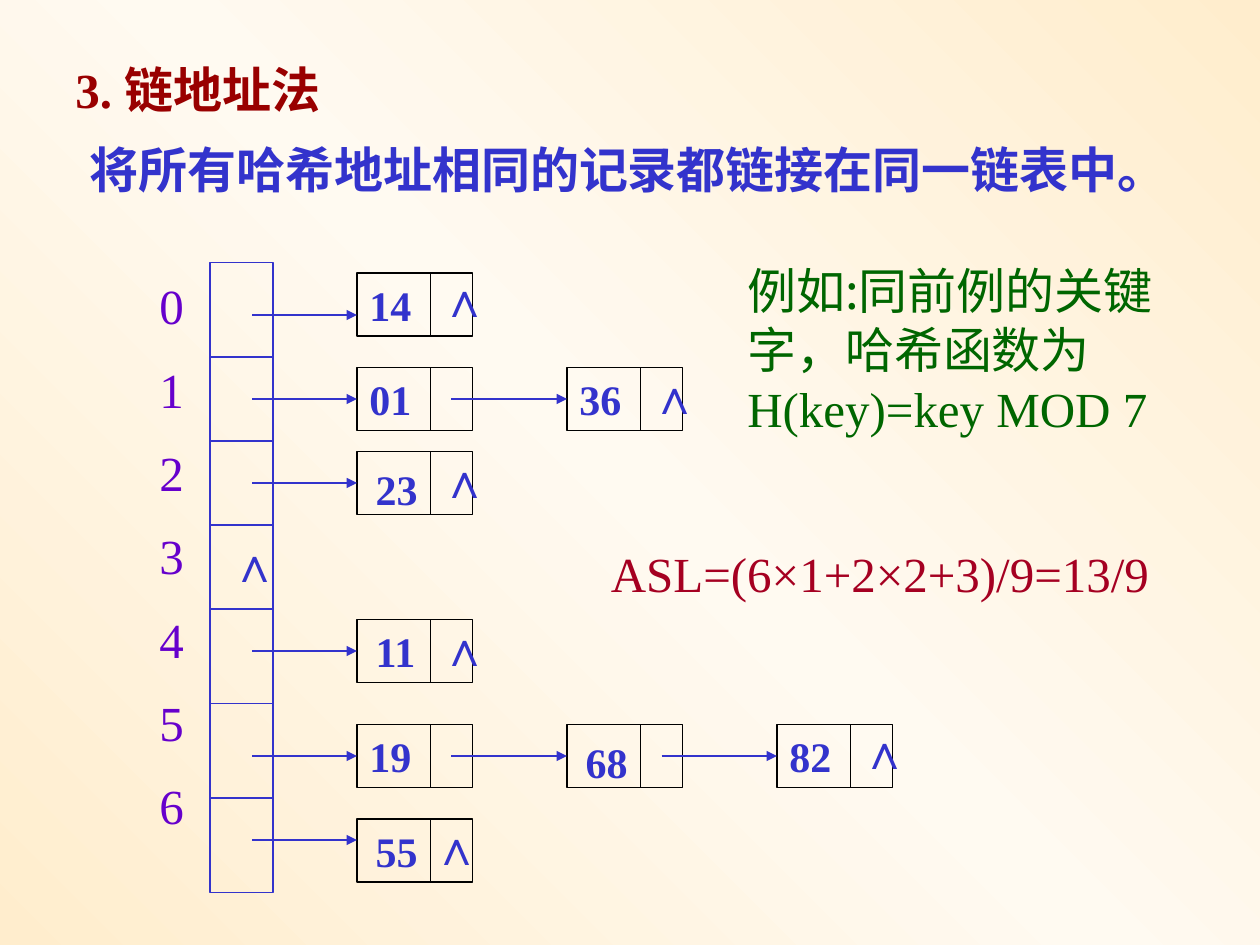
from copy import deepcopy

from lxml import etree
from pptx import Presentation
from pptx.dml.color import RGBColor
from pptx.enum.shapes import MSO_CONNECTOR, MSO_SHAPE
from pptx.enum.text import MSO_ANCHOR, MSO_AUTO_SIZE, PP_ALIGN
from pptx.oxml.ns import qn
from pptx.util import Pt

RECT = MSO_SHAPE.RECTANGLE
STRAIGHT = MSO_CONNECTOR.STRAIGHT
FIT = MSO_AUTO_SIZE.SHAPE_TO_FIT_TEXT
LEFT = PP_ALIGN.LEFT
MIDDLE = MSO_ANCHOR.MIDDLE

rgb = RGBColor.from_string
BLUE, BLACK = "3333CC", "000000"
TIMES, NOTO = "Times New Roman", "Noto Sans CJK SC"

prs = Presentation()
prs.slide_width, prs.slide_height = Pt(720), Pt(540)
slide = prs.slides.add_slide(prs.slide_layouts[6])
shapes = slide.shapes

# Background: pale diagonal band between two cream corners
background = slide.background.fill
background.gradient()
background.gradient_angle = 45
stop_list = next(slide._element.iter(qn("a:gsLst")))
stop_list.insert(1, deepcopy(stop_list[0]))
for stop, (position, color) in zip(
    background.gradient_stops, [(0, "FFEDCD"), (0.5, "FFFAF1"), (1, "FFEDCD")]
):
    stop.position = position
    stop.color.rgb = rgb(color)


def add_text(x, y, w, h, paragraphs, size, color, bold=False, wrap=False):
    """Text box; each paragraph is a list of (text, font) runs."""
    frame = shapes.add_textbox(Pt(x), Pt(y), Pt(w), Pt(h)).text_frame
    frame.word_wrap = wrap
    frame.auto_size = FIT
    for i, runs in enumerate(paragraphs):
        paragraph = frame.paragraphs[0] if i == 0 else frame.add_paragraph()
        for text, font in runs:
            run = paragraph.add_run()
            run.text = text
            run.font.name, run.font.size, run.font.bold = font, Pt(size), bold
            run.font.color.rgb = rgb(color)
    return frame


def add_line(x1, y1, x2, y2, color, width=0.75, arrow=False):
    line = shapes.add_connector(STRAIGHT, Pt(x1), Pt(y1), Pt(x2), Pt(y2))
    line.line.color.rgb = rgb(color)
    line.line.width = Pt(width)
    if arrow:
        etree.SubElement(line.line._get_or_add_ln(), qn("a:tailEnd"), type="triangle")
    etree.SubElement(line._element.spPr, qn("a:effectLst"))


# Heading and definition
definition = add_text(44.2, 69.4, 633, 47.5, [[("将所有哈希地址相同的记录都链接在同一链表中。", TIMES)]],
                      28, BLUE, bold=True, wrap=True)
definition.paragraphs[0].line_spacing = 1.2
add_text(36, 30.4, 222, 41, [[("3. 链地址法", TIMES)]], 28, "990000", bold=True, wrap=True)

# Hash table column with its slots
TABLE_X, TABLE_W = 120, 36
table = shapes.add_shape(RECT, Pt(TABLE_X), Pt(150), Pt(TABLE_W), Pt(360))
table.shadow.inherit = False
table.fill.background()
table.line.color.rgb = rgb(BLUE)
table.line.width = Pt(0.75)
for slot_y in (204, 252, 300, 348, 402, 456):
    add_line(TABLE_X, slot_y, TABLE_X + TABLE_W, slot_y, BLUE)

# Slot numbers
indexes = add_text(84, 154, 42, 344, [[(str(i), TIMES)] for i in range(7)],
                   28, "6600CC", wrap=True)
for paragraph in indexes.paragraphs:
    paragraph.space_after = Pt(14)

# Chains: node top, arrow height, keys, offset of the end mark
NODE_X, NODE_STEP, NODE_W, NODE_H = 204, 120, 66, 36
KEY_W, POINTER_X = 42, 54
chains = [
    (156, 180, ["14"], (40.6, -6)),
    (210, 228, ["01", "36"], (40.6, -4.6)),
    (258, 276, ["23"], (40.6, -4.6)),
    (354, 372, ["11"], (40.6, -4.6)),
    (414, 432, ["19", "68", "82"], (40.6, -6)),
    (468, 480, ["55"], (36, -5)),
]
# Keys set in their own box, with its drop below the node top
loose_keys = {"23": 3.6, "11": 0, "68": 3.6, "55": 0}
end_marks = [(124.6, 301.2)]

for top, arrow_y, keys, (mark_dx, mark_dy) in chains:
    arrow_start = 144
    for i, key in enumerate(keys):
        x = NODE_X + i * NODE_STEP
        node = shapes.add_shape(RECT, Pt(x), Pt(top), Pt(NODE_W), Pt(NODE_H))
        node.shadow.inherit = False
        node.fill.background()
        node.line.color.rgb = rgb(BLACK)
        node.line.width = Pt(0.75)
        add_line(x + KEY_W, top, x + KEY_W, top + NODE_H, BLACK)
        if key in loose_keys:
            add_text(x + 3.6, top + loose_keys[key], 40, 36, [[(key, TIMES)]],
                     24, BLUE, bold=True)
        else:
            frame = node.text_frame
            frame.word_wrap = False
            frame.vertical_anchor = MIDDLE
            frame.paragraphs[0].alignment = LEFT
            run = frame.paragraphs[0].add_run()
            run.text = key
            run.font.name, run.font.size, run.font.bold = TIMES, Pt(24), True
            run.font.color.rgb = rgb(BLUE)
        add_line(arrow_start, arrow_y, x, arrow_y, BLUE, 1.5, arrow=True)
        arrow_start = x + POINTER_X
    end_marks.append((x + mark_dx, top + mark_dy))

# End-of-chain marks, the first in the empty slot 3
for x, y in end_marks:
    add_text(x, y, 31.7, 41, [[("∧", TIMES)]], 28, BLUE, bold=True)

# Search length and example
add_text(342, 307.2, 347, 41, [[("ASL=(6×1+2×2+3)/9=13/9", TIMES)]], 28, "A50021")
add_text(420, 145.5, 263, 108,
         [[("例如:同前例的关键字，哈希函数为 ", NOTO), ("H(key)=key MOD 7", TIMES)]],
         28, "006600", wrap=True)

prs.save("out.pptx")
